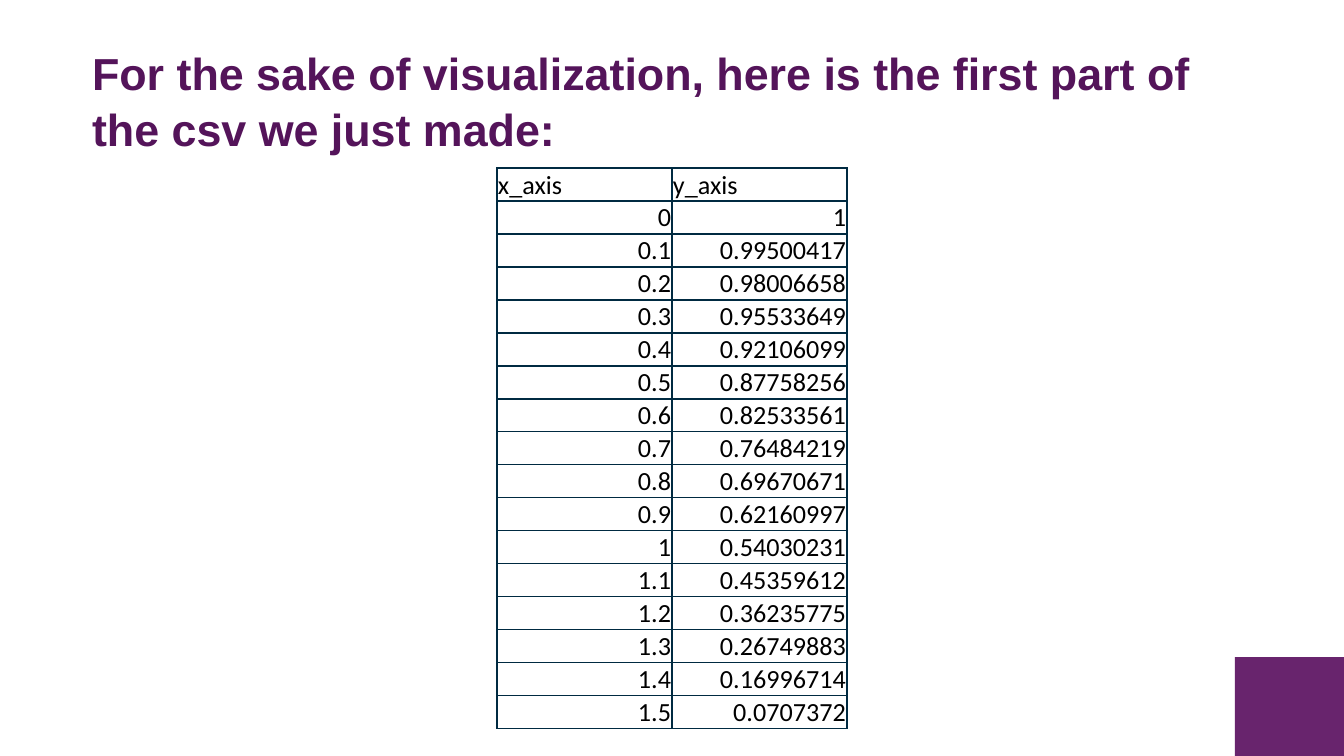
from lxml import etree
from pptx import Presentation
from pptx import util as u
from pptx.dml.color import RGBColor
from pptx.enum import shapes, text
from pptx.oxml import ns

PX = 914400 / 134.4
TITLE_COLOR = RGBColor(0x54, 0x14, 0x5A)
CORNER_COLOR = RGBColor(0x68, 0x24, 0x6D)
BORDER_COLOR = RGBColor(0x00, 0x2A, 0x41)
BLACK = RGBColor(0x00, 0x00, 0x00)

TITLE = ("For the sake of visualization, here is the first part of "
         "the csv we just made:")
HEADER = ("x_axis", "y_axis")
POINTS = [
    ("0", "1"),
    ("0.1", "0.99500417"),
    ("0.2", "0.98006658"),
    ("0.3", "0.95533649"),
    ("0.4", "0.92106099"),
    ("0.5", "0.87758256"),
    ("0.6", "0.82533561"),
    ("0.7", "0.76484219"),
    ("0.8", "0.69670671"),
    ("0.9", "0.62160997"),
    ("1", "0.54030231"),
    ("1.1", "0.45359612"),
    ("1.2", "0.36235775"),
    ("1.3", "0.26749883"),
    ("1.4", "0.16996714"),
    ("1.5", "0.0707372"),
]


def px(n):
    return u.Emu(round(n * PX))


def add_run(p, words, font, size, color, bold=False):
    r = p.add_run()
    r.text = words
    r.font.name = font
    r.font.size = u.Pt(size)
    r.font.color.rgb = color
    r.font.bold = bold


def set_title(s, words):
    sp = s.shapes.title
    sp.left, sp.top, sp.width, sp.height = px(92), px(40), px(1161), px(126)
    tf = sp.text_frame
    tf.margin_left = tf.margin_right = tf.margin_bottom = 0
    tf.margin_top = px(3)
    tf.word_wrap = True
    tf.auto_size = text.MSO_AUTO_SIZE.NONE
    tf.vertical_anchor = text.MSO_ANCHOR.TOP
    p = tf.paragraphs[0]
    p.alignment = text.PP_ALIGN.LEFT
    p.line_spacing = 1.05
    add_run(p, words, "Arial", 24, TITLE_COLOR, True)


def add_block(s, x, y, w, h, color):
    sp = s.shapes.add_shape(shapes.MSO_SHAPE.RECTANGLE, px(x), px(y), px(w), px(h))
    sp.shadow.inherit = False
    sp.fill.solid()
    sp.fill.fore_color.rgb = color
    sp.line.fill.background()


def set_borders(cell, color, width):
    props = cell._tc.get_or_add_tcPr()
    for side in ("lnL", "lnR", "lnT", "lnB"):
        ln = etree.SubElement(props, ns.qn("a:" + side), w=str(u.Pt(width)))
        fill = etree.SubElement(ln, ns.qn("a:solidFill"))
        etree.SubElement(fill, ns.qn("a:srgbClr"), val=str(color))


def fill_cell(cell, words, align):
    set_borders(cell, BORDER_COLOR, 1)
    cell.fill.background()
    cell.margin_left = cell.margin_right = cell.margin_top = px(1)
    cell.margin_bottom = 0
    cell.vertical_anchor = text.MSO_ANCHOR.BOTTOM
    p = cell.text_frame.paragraphs[0]
    p.alignment = align
    add_run(p, words, "Calibri", 14, BLACK)


def add_data_table(s, x, y, col_w, row_h):
    rows = [HEADER] + POINTS
    frame = s.shapes.add_table(len(rows), len(HEADER), px(x), px(y),
                               px(col_w * len(HEADER)), px(row_h * len(rows)))
    table = frame.table
    table.first_row = table.horz_banding = False
    for column in table.columns:
        column.width = px(col_w)
    for i, values in enumerate(rows):
        table.rows[i].height = px(row_h)
        align = text.PP_ALIGN.RIGHT if i else text.PP_ALIGN.LEFT
        for j, value in enumerate(values):
            fill_cell(table.cell(i, j), value, align)


def main():
    prs = Presentation()
    prs.slide_width, prs.slide_height = px(1344), px(756)
    s = prs.slides.add_slide(prs.slide_layouts[5])
    set_title(s, TITLE)
    add_block(s, 1235, 657, 110, 99, CORNER_COLOR)
    add_data_table(s, 497, 168, 175, 33)
    prs.save("out.pptx")


if __name__ == "__main__":
    main()
